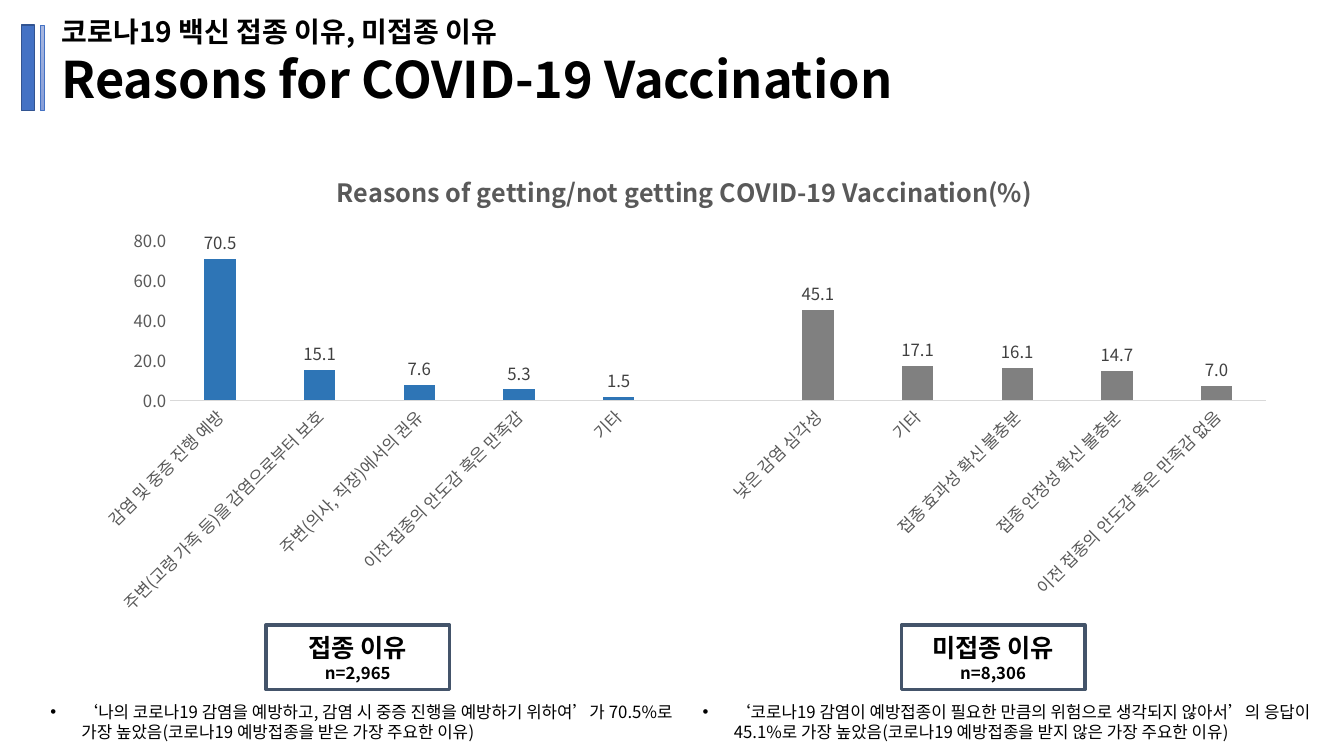
from lxml.etree import SubElement
from pptx import Presentation
from pptx.chart.data import CategoryChartData
from pptx.dml.color import RGBColor
from pptx.enum.chart import XL_CHART_TYPE, XL_LABEL_POSITION, XL_TICK_MARK
from pptx.enum.shapes import MSO_SHAPE
from pptx.enum.text import MSO_ANCHOR, MSO_AUTO_SIZE, PP_ALIGN
from pptx.oxml.ns import qn
from pptx.util import Inches, Pt

WIDTH, HEIGHT = Inches(13.33), Inches(7.5)
FONT = "Noto Sans CJK KR"
COLORS = {
    "text": "000000", "axis": "595959", "label": "404040", "rule": "D9D9D9",
    "accent": "4472C4", "accent_edge": "325491",
    "stripe_top": "A8B7DF", "stripe_bottom": "889ED7",
    "vaccinated": "2E75B6", "unvaccinated": "808080", "frame": "44546A",
}
VACCINATED = [
    ("감염 및 중증 진행 예방", 70.5),
    ("주변(고령 가족 등)을 감염으로부터 보호", 15.1),
    ("주변(의사, 직장)에서의 권유", 7.6),
    ("이전 접종의 안도감 혹은 만족감", 5.3),
    ("기타", 1.5),
]
UNVACCINATED = [
    ("낮은 감염 심각성", 45.1),
    ("기타", 17.1),
    ("접종 효과성 확신 불충분", 16.1),
    ("접종 안정성 확신 불충분", 14.7),
    ("이전 접종의 안도감 혹은 만족감 없음", 7.0),
]
# Left of the frame, its lines, left of the note, the note
GROUPS = [
    (19.8, [("접종 이유", 18), ("n=2,965", 12)], 3,
     "‘나의 코로나19 감염을 예방하고, 감염 시 중증 진행을 예방하기 위하여’가 "
     "70.5%로 가장 높았음(코로나19 예방접종을 받은 가장 주요한 이유)"),
    (67.07, [("미접종 이유", 18), ("n=8,306", 12)], 51.54,
     "‘코로나19 감염이 예방접종이 필요한 만큼의 위험으로 생각되지 않아서’의 응답이 "
     "45.1%로 가장 높았음(코로나19 예방접종을 받지 않은 가장 주요한 이유)"),
]


def color(name):
    return RGBColor.from_string(COLORS[name])


def area(left, top, width, height):
    """Turn percentages of the slide's size into lengths."""
    return (int(WIDTH * left / 100), int(HEIGHT * top / 100),
            int(WIDTH * width / 100), int(HEIGHT * height / 100))


def style_font(font, size, tint="text", bold=False):
    font.size, font.bold, font.name = Pt(size), bold, FONT
    font.color.rgb = color(tint)
    SubElement(font._rPr, qn("a:ea"), typeface=FONT)


def add_bullet(paragraph, indent=Inches(0.31)):
    properties = paragraph._p.get_or_add_pPr()
    properties.set("marL", str(indent))
    properties.set("indent", str(-indent))
    SubElement(properties, qn("a:buFont"), typeface="Arial")
    SubElement(properties, qn("a:buChar"), char="•")


def write_text(shape, lines, bold=False, align=PP_ALIGN.LEFT,
               anchor=MSO_ANCHOR.TOP, bullet=False, grow=True):
    """Fill a shape with one paragraph for each (text, size) pair."""
    frame = shape.text_frame
    frame.word_wrap, frame.vertical_anchor = True, anchor
    frame.auto_size = MSO_AUTO_SIZE.SHAPE_TO_FIT_TEXT if grow else MSO_AUTO_SIZE.NONE
    for index, (text, size) in enumerate(lines):
        paragraph = frame.add_paragraph() if index else frame.paragraphs[0]
        paragraph.alignment = align
        if bullet:
            add_bullet(paragraph)
        run = paragraph.add_run()
        run.text = text
        style_font(run.font, size, bold=bold)


def add_box(slide, place, edge, edge_width, fill=None):
    box = slide.shapes.add_shape(MSO_SHAPE.RECTANGLE, *area(*place))
    box.shadow.inherit = False
    box.line.color.rgb, box.line.width = color(edge), Pt(edge_width)
    if fill:
        box.fill.solid()
        box.fill.fore_color.rgb = color(fill)
    else:
        box.fill.background()
    return box


def add_heading(slide):
    add_box(slide, (1.58, 3.33, 0.98, 11.33), "accent_edge", 1, "accent")
    stripe = add_box(slide, (3, 3.33, 0.3, 11.33), "accent", 0.5)
    stripe.fill.gradient()
    stripe.fill.gradient_angle = 270
    for stop, tint in zip(stripe.fill.gradient_stops, ("stripe_top", "stripe_bottom")):
        stop.color.rgb = color(tint)
    title = slide.shapes.title
    title.left, title.top, title.width, title.height = area(3.83, 1.2, 90.25, 13.87)
    write_text(title, [("코로나19 백신 접종 이유, 미접종 이유", 20),
                       ("Reasons for COVID-19 Vaccination", 36)], bold=True)


def style_axes(chart):
    reasons, percent = chart.category_axis, chart.value_axis
    for axis in (reasons, percent):
        axis.major_tick_mark = axis.minor_tick_mark = XL_TICK_MARK.NONE
        axis.has_major_gridlines = False
        style_font(axis.tick_labels.font, 12, "axis")
    reasons.format.line.color.rgb = color("rule")
    reasons.format.line.width = Pt(0.75)
    slant = reasons._element.find(qn("c:txPr")).find(qn("a:bodyPr"))
    slant.set("rot", str(-45 * 60000))
    slant.set("vert", "horz")
    percent.minimum_scale, percent.maximum_scale, percent.major_unit = 0, 80, 20
    percent.format.line.fill.background()
    percent.tick_labels.number_format = "0.0"
    percent.tick_labels.number_format_is_linked = False


def add_reasons_chart(slide):
    rows = VACCINATED + [("", None)] + UNVACCINATED
    data = CategoryChartData(number_format="0.0")
    data.categories = [reason for reason, _ in rows]
    data.add_series("Series 1", [share for _, share in rows])
    chart = slide.shapes.add_chart(XL_CHART_TYPE.COLUMN_CLUSTERED,
                                   *area(5.78, 20, 90.25, 62.67), data).chart
    style_font(chart.font, 10)
    chart.has_legend = False
    chart.has_title = True
    heading = chart.chart_title.text_frame.paragraphs[0].add_run()
    heading.text = "Reasons of getting/not getting COVID-19 Vaccination(%)"
    style_font(heading.font, 18, "axis", bold=True)
    chart.chart_title.include_in_layout = False
    style_axes(chart)

    plot = chart.plots[0]
    plot.gap_width, plot.overlap, plot.vary_by_categories = 219, -27, False
    for index, (_, share) in enumerate(rows):
        if share is not None:
            fill = plot.series[0].points[index].format.fill
            fill.solid()
            fill.fore_color.rgb = color(
                "vaccinated" if index < len(VACCINATED) else "unvaccinated")
    plot.has_data_labels = True
    labels = plot.data_labels
    labels.show_value, labels.position = True, XL_LABEL_POSITION.OUTSIDE_END
    labels.number_format, labels.number_format_is_linked = "0.0", False
    style_font(labels.font, 12, "label")


def add_group(slide, frame_left, lines, note_left, note):
    frame = add_box(slide, (frame_left, 82.67, 13.65, 8.53), "frame", 2.5)
    write_text(frame, lines, bold=True, align=PP_ALIGN.CENTER,
               anchor=MSO_ANCHOR.MIDDLE, grow=False)
    note_box = slide.shapes.add_textbox(*area(note_left, 92.13, 50, 6.67))
    write_text(note_box, [(note, 12)], bullet=True)


def main():
    deck = Presentation()
    deck.slide_width, deck.slide_height = WIDTH, HEIGHT
    slide = deck.slides.add_slide(deck.slide_layouts[5])
    add_heading(slide)
    add_reasons_chart(slide)
    for group in GROUPS:
        add_group(slide, *group)
    deck.save("out.pptx")


if __name__ == "__main__":
    main()
